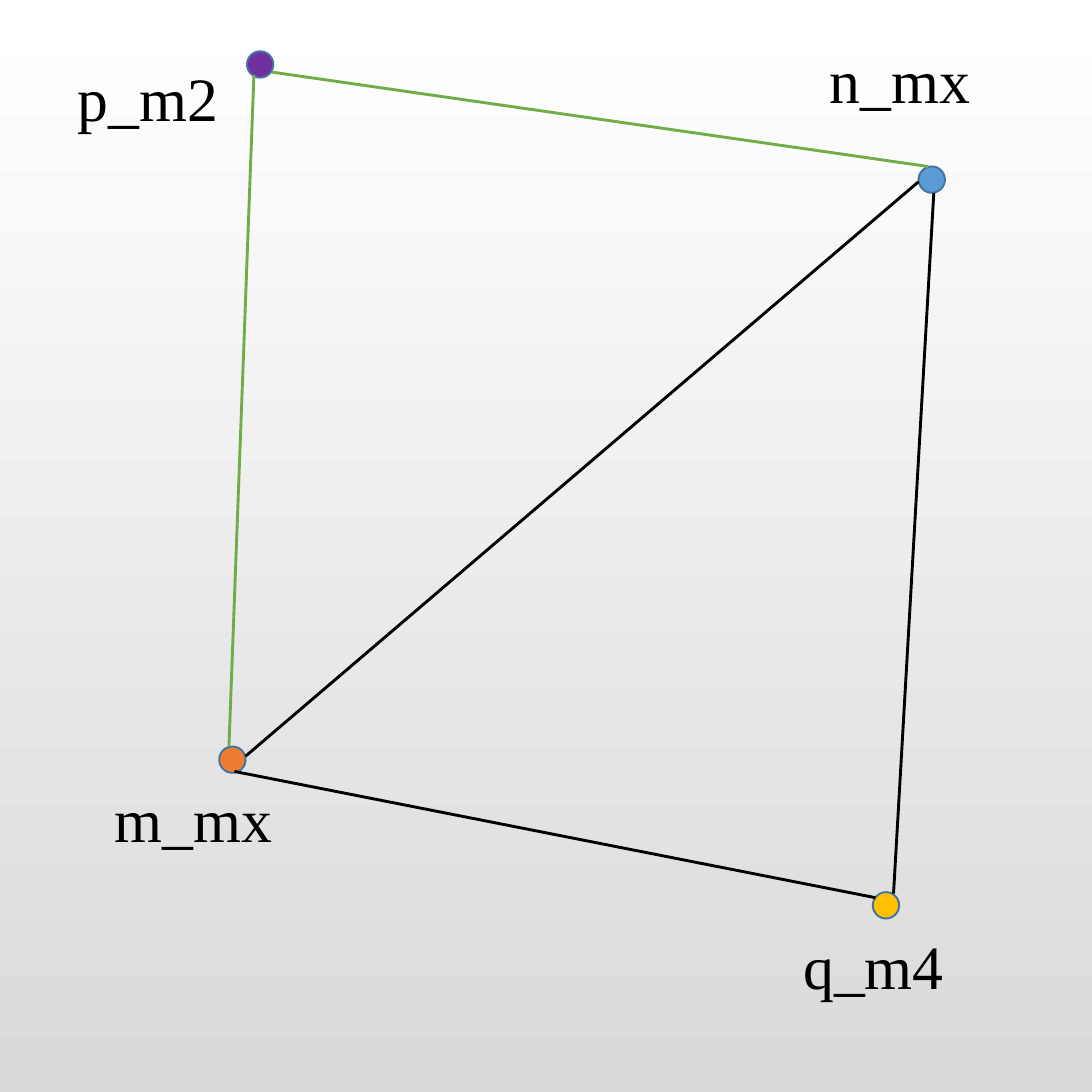
from pptx import Presentation
from pptx.dml.color import RGBColor
from pptx.enum.shapes import MSO_CONNECTOR as CONNECTOR, MSO_SHAPE as SHAPE
from pptx.enum.text import MSO_AUTO_SIZE as AUTO_SIZE
from pptx.oxml.ns import qn
from pptx.util import Inches, Pt
from lxml import etree

# Content: vertex name, dot corner, dot colour, label box (left, top, width)
VERTICES = [
    ("n_mx", (6.62, 1.20), "blue", (5.88, 0.25, 1.42)),
    ("p_m2", (1.78, 0.37), "purple", (0.46, 0.38, 1.23)),
    ("q_m4", (6.29, 6.43), "yellow", (5.69, 6.64, 1.58)),
    ("m_mx", (1.58, 5.38), "orange", (0.73, 5.58, 1.48)),
]
# Edges meet the rims of the dots: start, end, colour
EDGES = [
    ((1.83, 0.54), (1.65, 5.38), "green"),  # p_m2 to m_mx
    ((1.96, 0.52), (6.69, 1.20), "green"),  # p_m2 to n_mx
    ((1.69, 5.56), (6.31, 6.47), "black"),  # m_mx to q_m4
    ((6.73, 1.39), (6.44, 6.44), "black"),  # n_mx to q_m4
    ((1.77, 5.45), (6.62, 1.31), "black"),  # m_mx to n_mx
]
SIDE, DOT, LABEL_HEIGHT, TILT = 7.87, 0.19, 0.64, 348

THEME = {
    "font": "Times New Roman", "size": 32, "rim_width": 1, "edge_width": 1.5,
    "blue": "5B9BD5", "purple": "7030A0", "yellow": "FFC000",
    "orange": "ED7D31", "green": "70AD47", "black": "000000",
    "rim": "43739E", "sky": "FFFFFF", "ground": "DADADA",
}


def color(name):
    return RGBColor.from_string(THEME[name])


def inches(*lengths):
    return [Inches(length) for length in lengths]


def style_line(line, name, width):
    line.color.rgb = color(name)
    line.width = Pt(THEME[width])


def add_dot(slide, corner, tint):
    dot = slide.shapes.add_shape(SHAPE.OVAL, *inches(*corner, DOT, DOT))
    dot.rotation = TILT
    dot.shadow.inherit = False
    dot.fill.solid()
    dot.fill.fore_color.rgb = color(tint)
    style_line(dot.line, "rim", "rim_width")


def add_edge(slide, start, end, tint):
    edge = slide.shapes.add_connector(CONNECTOR.STRAIGHT, *inches(*start, *end))
    style_line(edge.line, tint, "edge_width")
    etree.SubElement(edge._element.spPr, qn("a:effectLst"))


def add_label(slide, name, box):
    label = slide.shapes.add_textbox(*inches(*box, LABEL_HEIGHT))
    frame = label.text_frame
    frame.word_wrap = True
    frame.auto_size = AUTO_SIZE.SHAPE_TO_FIT_TEXT
    run = frame.paragraphs[0].add_run()
    run.text = name
    run.font.name = THEME["font"]
    run.font.size = Pt(THEME["size"])
    run.font.color.rgb = color("black")


deck = Presentation()
deck.slide_width = deck.slide_height = Inches(SIDE)
slide = deck.slides.add_slide(deck.slide_layouts[6])

# Background fading from top to bottom
backdrop = slide.background.fill
backdrop.gradient()
backdrop.gradient_angle = 270
for stop, shade in zip(backdrop.gradient_stops, ("sky", "ground")):
    stop.color.rgb = color(shade)

# Dots, then edges, then labels on top
for _, corner, tint, _ in VERTICES:
    add_dot(slide, corner, tint)
for start, end, tint in EDGES:
    add_edge(slide, start, end, tint)
for name, _, _, box in VERTICES:
    add_label(slide, name, box)

deck.save("out.pptx")
